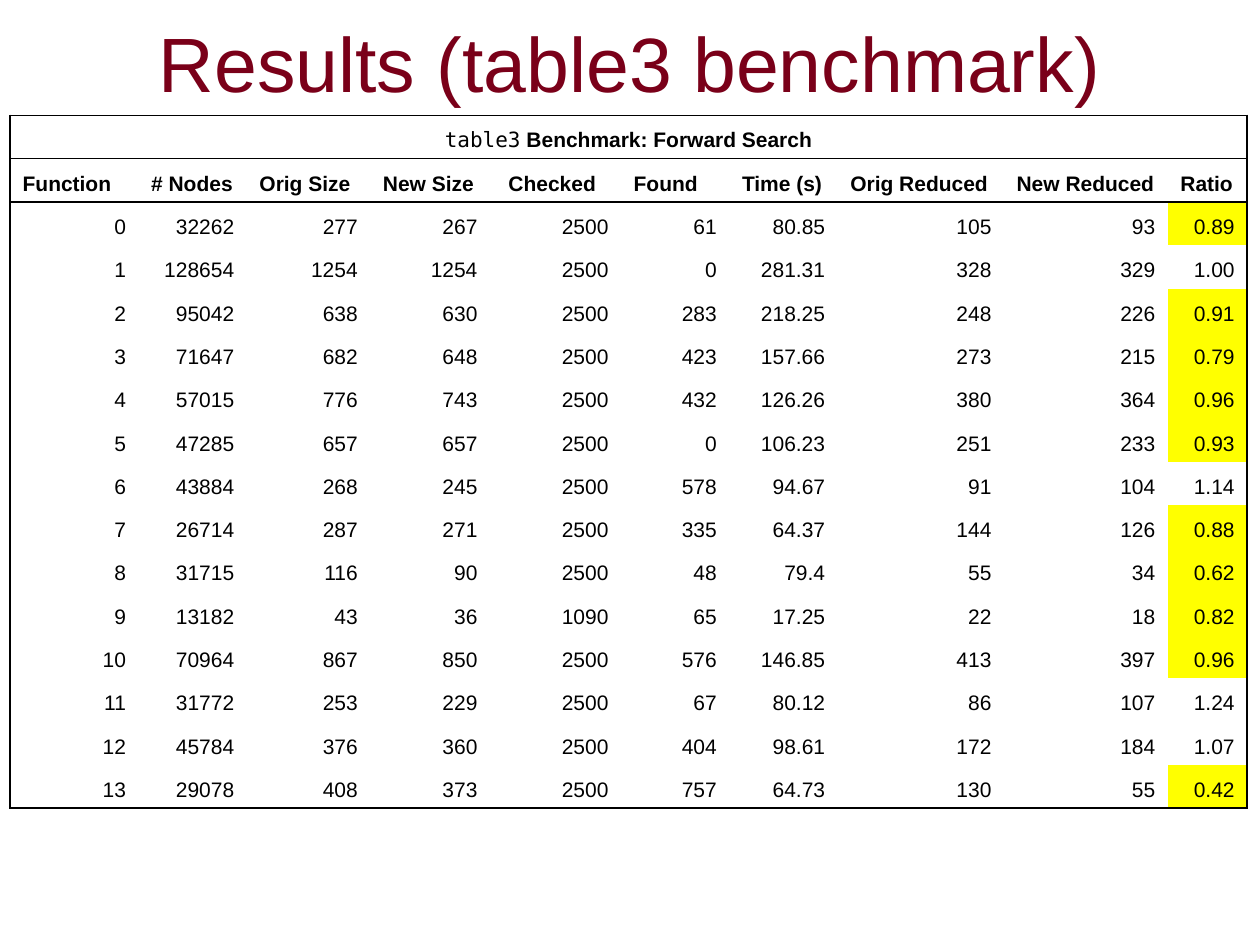
from lxml import etree
from pptx import Presentation
from pptx import util as u
from pptx.dml import color
from pptx.enum import text
from pptx.oxml import ns

COLORS = {"title": "7A0019", "ink": "000000", "highlight": "FFFF00"}
COLUMN_SHARES = [0.102, 0.086, 0.098, 0.095, 0.104, 0.086, 0.086, 0.132, 0.13, 0.063]
HEADINGS = ["Function", "# Nodes", "Orig Size", "New Size", " Checked", "Found",
            "Time (s)", "Orig Reduced", "New Reduced", "Ratio"]
RESULTS = """
0 32262 277 267 2500 61 80.85 105 93 0.89
1 128654 1254 1254 2500 0 281.31 328 329 1.00
2 95042 638 630 2500 283 218.25 248 226 0.91
3 71647 682 648 2500 423 157.66 273 215 0.79
4 57015 776 743 2500 432 126.26 380 364 0.96
5 47285 657 657 2500 0 106.23 251 233 0.93
6 43884 268 245 2500 578 94.67 91 104 1.14
7 26714 287 271 2500 335 64.37 144 126 0.88
8 31715 116 90 2500 48 79.4 55 34 0.62
9 13182 43 36 1090 65 17.25 22 18 0.82
10 70964 867 850 2500 576 146.85 413 397 0.96
11 31772 253 229 2500 67 80.12 86 107 1.24
12 45784 376 360 2500 404 98.61 172 184 1.07
13 29078 408 373 2500 757 64.73 130 55 0.42
"""


class ResultsPage:
    """Holds the style and the current slide, and adds its elements."""

    font = "Arial"
    mono = "DejaVu Sans Mono"
    body_size = 12
    title_size = 44

    def __init__(self, deck):
        self.width, self.height = deck.slide_width, deck.slide_height
        self.page = deck.slides.add_slide(deck.slide_layouts[6])

    def place(self, left, top, width, height):
        return (int(left * self.width), int(top * self.height),
                int(width * self.width), int(height * self.height))

    def span(self, para, words, size=body_size, tint="ink", bold=False, font=font):
        span = para.add_run()
        span.text = words
        span.font.name, span.font.size, span.font.bold = font, u.Pt(size), bold
        span.font.color.rgb = color.RGBColor.from_string(COLORS[tint])

    def title(self, words, *shares):
        box = self.page.shapes.add_textbox(*self.place(*shares))
        box.text_frame.word_wrap = True
        box.text_frame.vertical_anchor = text.MSO_ANCHOR.MIDDLE
        para = box.text_frame.paragraphs[0]
        para.alignment = text.PP_ALIGN.CENTER
        self.span(para, words, self.title_size, "title")

    def borders(self, cell, sides):
        properties = cell._tc.get_or_add_tcPr()
        for position, side in enumerate("LRTB"):
            line = etree.Element(ns.qn(f"a:ln{side}"), w=str(u.Pt(1)))
            if side in sides:
                fill = etree.SubElement(line, ns.qn("a:solidFill"))
                etree.SubElement(fill, ns.qn("a:srgbClr"), val=COLORS["ink"])
            else:
                etree.SubElement(line, ns.qn("a:noFill"))
            properties.insert(position, line)

    def cell(self, cell, align, sides, highlight=False):
        cell.vertical_anchor = text.MSO_ANCHOR.BOTTOM
        if highlight:
            cell.fill.solid()
            cell.fill.fore_color.rgb = color.RGBColor.from_string(COLORS["highlight"])
        else:
            cell.fill.background()
        self.borders(cell, sides)
        para = cell.text_frame.paragraphs[0]
        para.alignment = align
        return para

    def table(self, headings, results, column_shares, left, top, height):
        rows, last = len(results) + 2, len(headings) - 1
        frame = self.page.shapes.add_table(
            rows, len(headings), *self.place(left, top, sum(column_shares), height))
        table = frame.table
        table.first_row = table.horz_banding = False
        for column, share in zip(table.columns, column_shares):
            column.width = int(share * self.width)
        for row in table.rows:
            row.height = int(height * self.height / rows)

        table.cell(0, 0).merge(table.cell(0, last))
        for index in range(last + 1):
            para = self.cell(table.cell(0, index), text.PP_ALIGN.CENTER, "LRTB" if index == 0 else "RTB" if index == last else "TB")
            if index == 0:
                self.span(para, "table3", font=self.mono)
                self.span(para, " Benchmark: Forward Search", bold=True)

        for number, values in enumerate([headings, *results], start=1):
            heading = number == 1
            align = text.PP_ALIGN.LEFT if heading else text.PP_ALIGN.RIGHT
            across = ("T" if number <= 2 else "") + ("B" if number in (1, rows - 1) else "")
            for index, value in enumerate(values):
                sides = across + {0: "L", last: "R"}.get(index, "")
                improved = not heading and index == last and float(value) < 1
                para = self.cell(table.cell(number, index), align, sides, improved)
                self.span(para, value, bold=heading)


def main():
    deck = Presentation()
    deck.slide_width, deck.slide_height = u.Inches(10), u.Inches(7.5)
    page = ResultsPage(deck)
    page.title("Results (table3 benchmark)", 0.075, -0.02, 0.85, 0.17)
    results = [line.split() for line in RESULTS.strip().splitlines()]
    page.table(HEADINGS, results, COLUMN_SHARES, 0.008, 0.122, 0.734)
    deck.save("out.pptx")


if __name__ == "__main__":
    main()
